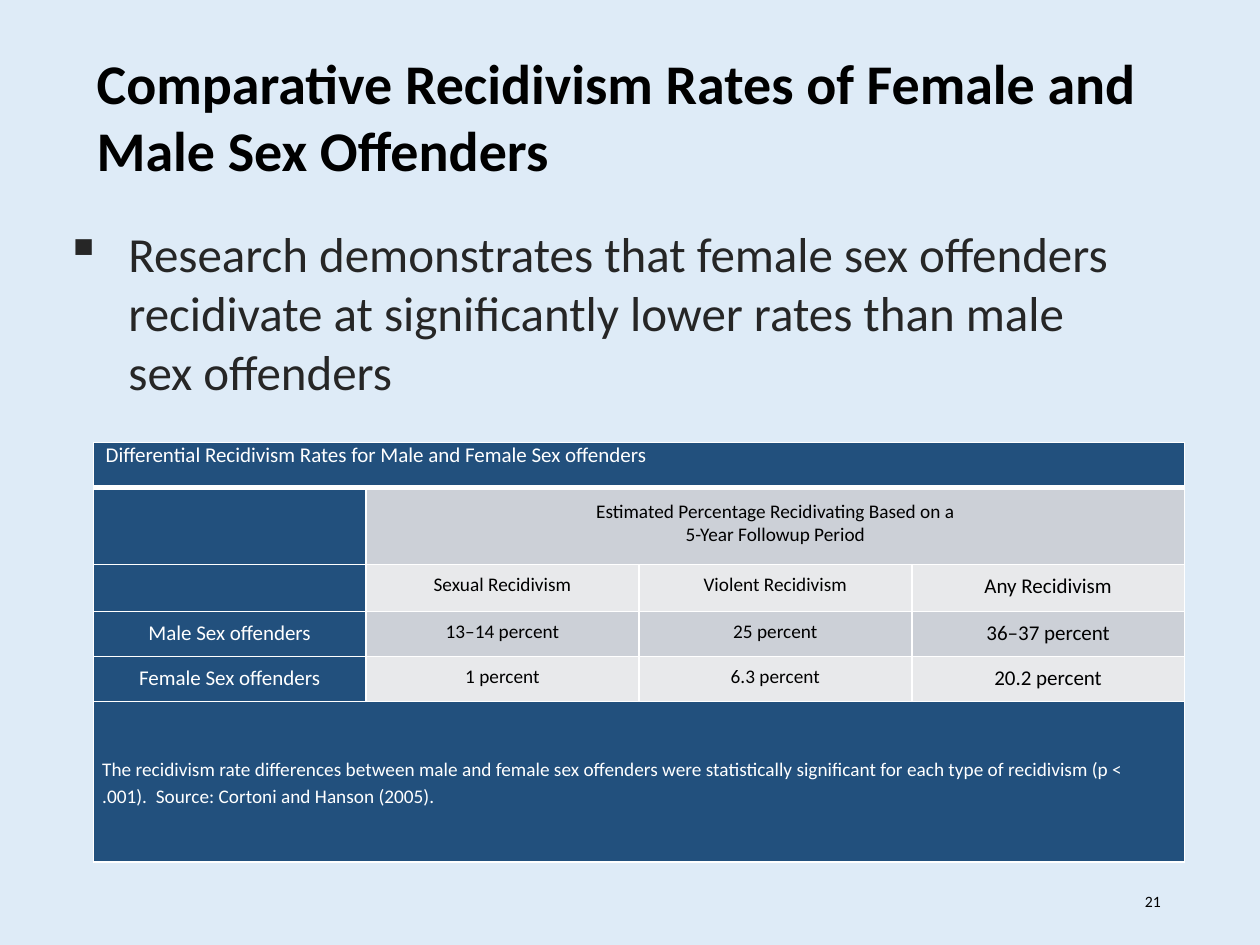
from dataclasses import dataclass

import lxml.etree
import pptx
import pptx.dml.color
import pptx.enum.text
import pptx.oxml.ns
import pptx.util

Cm = pptx.util.Cm
Pt = pptx.util.Pt
Align = pptx.enum.text.PP_ALIGN
Anchor = pptx.enum.text.MSO_ANCHOR
qn = pptx.oxml.ns.qn

COLORS = {
    "background": "DEEBF7",
    "black": "000000",
    "body": "262626",
    "white": "FFFFFF",
    "navy": "22507D",
    "gray": "CCD0D7",
    "light": "E8E9EB",
}
FONT = "Calibri"
COLUMN_WIDTH = 5.5
ROW_HEIGHTS = [0.91, 1.55, 0.91, 0.91, 0.91, 3.23]


@dataclass
class TextBox:
    text: str
    frame: tuple[float, float, float, float]
    size: float
    color: str
    bold: bool = False
    anchor: Anchor = Anchor.TOP
    align: Align = Align.LEFT
    bullet: str = ""


@dataclass
class TableCell:
    row: int
    column: int
    text: str
    fill: str
    size: float = 11
    span: int = 1
    left: float = 0
    top: float = 0.18
    right: float = 0
    align: Align = Align.CENTER
    spacing: float = 1.0


TEXT_BOXES = [
    TextBox(
        "Research demonstrates that female sex offenders recidivate at "
        "significantly lower rates than male sex offenders",
        (1.07, 4.39, 21.59, 14.66), 28, "body", bullet="▪",
    ),
    TextBox(
        "Comparative Recidivism Rates of Female and Male Sex Offenders",
        (1.7, 0.84, 21.59, 2.97), 32, "black", bold=True, anchor=Anchor.BOTTOM,
    ),
    TextBox(
        "21", (17.93, 17.65, 5.72, 1.02), 9, "black",
        anchor=Anchor.MIDDLE, align=Align.RIGHT,
    ),
]

DATA_ROWS = [
    ("", "Sexual Recidivism", "Violent Recidivism", "Any Recidivism"),
    ("Male Sex offenders", "13–14 percent", "25 percent", "36–37 percent"),
    ("Female Sex offenders", "1 percent", "6.3 percent", "20.2 percent"),
]
COLUMN_SIZES = [12, 11, 11, 12]

TABLE_CELLS = [
    TableCell(0, 0, "Differential Recidivism Rates for Male and Female Sex offenders",
              "navy", 12, span=4, left=0.25, top=0, align=Align.LEFT),
    TableCell(1, 0, "", "navy"),
    TableCell(1, 1, "Estimated Percentage Recidivating Based on a\n5-Year Followup Period",
              "gray", span=3, top=0.24),
    TableCell(5, 0, "The recidivism rate differences between male and female sex offenders "
              "were statistically significant for each type of recidivism (p < .001).  "
              "Source: Cortoni and Hanson (2005).",
              "navy", span=4, left=0.18, top=1.06, right=0.8,
              align=Align.LEFT, spacing=1.15),
]
for row_index, texts in enumerate(DATA_ROWS, start=2):
    band = "gray" if row_index % 2 else "light"
    for column_index, (text, size) in enumerate(zip(texts, COLUMN_SIZES)):
        fill_name = band if column_index else "navy"
        TABLE_CELLS.append(TableCell(row_index, column_index, text, fill_name, size))


def rgb(name: str) -> pptx.dml.color.RGBColor:
    return pptx.dml.color.RGBColor.from_string(COLORS[name])


def set_values(target, values: dict) -> None:
    for name, value in values.items():
        setattr(target, name, value)


def add_span(para, text: str, size: float, color: str, bold: bool = False) -> None:
    span = para.add_run()
    span.text = text
    set_values(span.font, {"name": FONT, "size": Pt(size), "bold": bold})
    span.font.color.rgb = rgb(color)


def add_bullet(para, symbol: str) -> None:
    properties = para._p.get_or_add_pPr()
    properties.set("marL", str(Cm(1.27)))
    properties.set("indent", str(-Cm(1.27)))
    para.space_before = Pt(6)
    lxml.etree.SubElement(properties, qn("a:buChar")).set("char", symbol)


def add_text(page, item: TextBox) -> None:
    box = page.shapes.add_textbox(*map(Cm, item.frame))
    set_values(box.text_frame, {"word_wrap": True, "vertical_anchor": item.anchor})
    para = box.text_frame.paragraphs[0]
    para.alignment = item.align
    if item.bullet:
        add_bullet(para, item.bullet)
    add_span(para, item.text, item.size, item.color, item.bold)


def set_borders(cell, top: float, bottom: float) -> None:
    properties = cell._tc.get_or_add_tcPr()
    widths = {"a:lnL": 1, "a:lnR": 1, "a:lnT": top, "a:lnB": bottom}
    for index, (tag, width) in enumerate(widths.items()):
        line = lxml.etree.Element(qn(tag))
        line.set("w", str(Pt(width)))
        fill = lxml.etree.SubElement(line, qn("a:solidFill"))
        lxml.etree.SubElement(fill, qn("a:srgbClr")).set("val", COLORS["white"])
        properties.insert(index, line)


def fill_cell(table, item: TableCell) -> None:
    cell = table.cell(item.row, item.column)
    if item.span > 1:
        cell.merge(table.cell(item.row, item.column + item.span - 1))
    set_values(cell, {
        "margin_left": Cm(item.left),
        "margin_top": Cm(item.top),
        "margin_right": Cm(item.right),
    })
    cell.fill.solid()
    cell.fill.fore_color.rgb = rgb(item.fill)
    color = "white" if item.fill == "navy" else "black"
    for index, text in enumerate(item.text.splitlines()):
        frame = cell.text_frame
        para = frame.add_paragraph() if index else frame.paragraphs[0]
        set_values(para, {"alignment": item.align, "line_spacing": item.spacing})
        add_span(para, text, item.size, color)


def add_rates_table(page) -> None:
    columns = len(COLUMN_SIZES)
    table = page.shapes.add_table(
        len(ROW_HEIGHTS), columns, Cm(1.88), Cm(8.92),
        Cm(COLUMN_WIDTH * columns), Cm(sum(ROW_HEIGHTS)),
    ).table
    set_values(table, {"first_row": False, "horz_banding": False})
    for column in table.columns:
        column.width = Cm(COLUMN_WIDTH)
    margins = ("margin_left", "margin_top", "margin_right", "margin_bottom")
    for index, (row, height) in enumerate(zip(table.rows, ROW_HEIGHTS)):
        row.height = Cm(height)
        for cell in row.cells:
            set_values(cell, dict.fromkeys(margins, 0))
            set_borders(cell, 3 if index == 1 else 1, 3 if index == 0 else 1)
    for item in TABLE_CELLS:
        fill_cell(table, item)


def main() -> None:
    deck = pptx.Presentation()
    set_values(deck, {"slide_width": Cm(25.4), "slide_height": Cm(19.05)})
    page = deck.slides.add_slide(deck.slide_layouts[6])
    page.background.fill.solid()
    page.background.fill.fore_color.rgb = rgb("background")
    for item in TEXT_BOXES:
        add_text(page, item)
    add_rates_table(page)
    deck.save("out.pptx")


if __name__ == "__main__":
    main()
